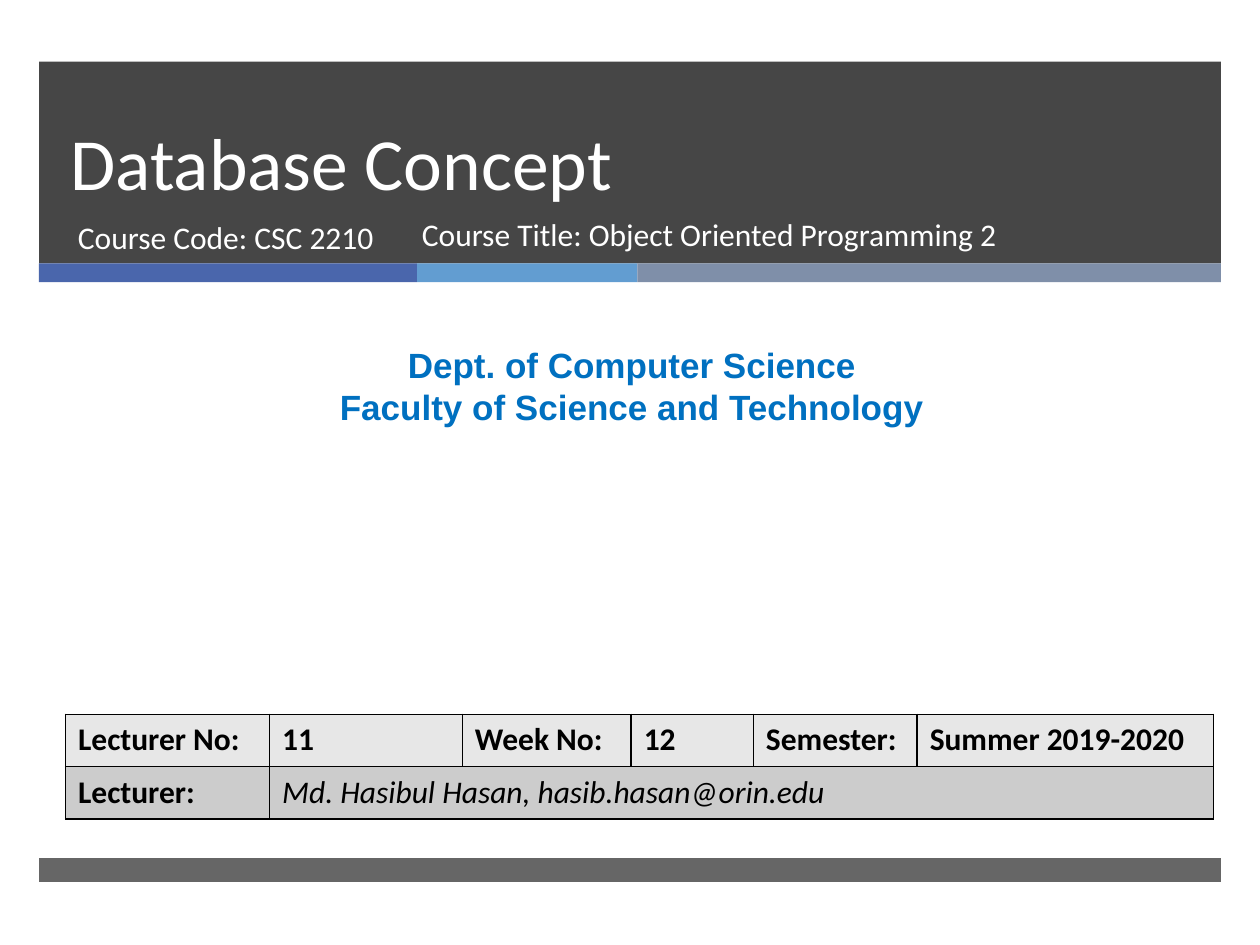
import dataclasses

import pptx
import pptx.dml.color
import pptx.enum.shapes
import pptx.enum.text
import pptx.oxml
import pptx.oxml.ns
import pptx.util

Inches = pptx.util.Inches
Pt = pptx.util.Pt
ALIGN = pptx.enum.text.PP_ALIGN
ANCHOR = pptx.enum.text.MSO_ANCHOR
NS = pptx.oxml.ns.nsdecls("a")


@dataclasses.dataclass(frozen=True)
class Theme:
    """Colours, fonts and type sizes of the slide."""
    dark: str = "262626"
    white: str = "FFFFFF"
    black: str = "000000"
    dept: str = "0070C0"
    bands: tuple = ("4A66AC", "629DD1", "7F8FA9")
    rows: tuple = ("E7E7E7", "CCCCCC")
    body: str = "Calibri"
    sans: str = "Arial"
    title: int = 42
    head: int = 20
    text: int = 18


THEME = Theme()


def rgb(code):
    """Turn a hex code into a colour."""
    return pptx.dml.color.RGBColor.from_string(code)


def add_bar(slide, box, color, alpha=None):
    """Add a plain rectangle, with opacity in percent if given."""
    bar = slide.shapes.add_shape(
        pptx.enum.shapes.MSO_SHAPE.RECTANGLE, *map(Inches, box))
    bar.shadow.inherit = False
    bar.line.fill.background()
    bar.fill.solid()
    bar.fill.fore_color.rgb = rgb(color)
    if alpha:
        node = bar.fill._xPr.find(".//" + pptx.oxml.ns.qn("a:srgbClr"))
        node.append(pptx.oxml.parse_xml(
            f'<a:alpha {NS} val="{alpha * 1000}"/>'))


def add_run(para, text, size, color, face=THEME.body, bold=False, slant=False):
    """Add one styled run to a paragraph."""
    run = para.add_run()
    run.text = text
    font = run.font
    font.name, font.size, font.color.rgb = face, Pt(size), rgb(color)
    font.bold, font.italic = bold, slant


def add_text(slide, box, lines, size, color, align=ALIGN.LEFT,
             anchor=ANCHOR.TOP, pitch=None, **style):
    """Add a wrapped text box with one paragraph per line."""
    frame = slide.shapes.add_textbox(*map(Inches, box)).text_frame
    frame.word_wrap = True
    frame.vertical_anchor = anchor
    for num, line in enumerate(lines):
        para = frame.add_paragraph() if num else frame.paragraphs[0]
        para.alignment = align
        if pitch:
            para.line_spacing = Pt(pitch)
        add_run(para, line, size, color, **style)


def set_edges(cell):
    """Draw a thin border on all four sides of a cell."""
    props = cell._tc.get_or_add_tcPr()
    for num, side in enumerate(("lnL", "lnR", "lnT", "lnB")):
        props.insert(num, pptx.oxml.parse_xml(
            f'<a:{side} {NS} w="12700"><a:solidFill>'
            f'<a:srgbClr val="{THEME.black}"/></a:solidFill></a:{side}>'))


def add_grid(slide, left, top, cols, high, rows):
    """Add the lecture table; a short row's last cell spans the rest."""
    grid = slide.shapes.add_table(
        len(rows), len(cols), Inches(left), Inches(top),
        Inches(sum(cols)), Inches(high * len(rows))).table
    for col, wide in zip(grid.columns, cols):
        col.width = Inches(wide)
    for num, (row, fill) in enumerate(zip(rows, THEME.rows)):
        grid.rows[num].height = Inches(high)
        for cell in grid.rows[num].cells:
            cell.fill.solid()
            cell.fill.fore_color.rgb = rgb(fill)
            set_edges(cell)
        last = len(row) - 1
        if len(row) < len(cols):
            grid.cell(num, last).merge(grid.cell(num, len(cols) - 1))
        for pos, text in enumerate(row):
            slant = num == 1 and pos == last
            add_run(grid.cell(num, pos).text_frame.paragraphs[0], text,
                    THEME.text, THEME.black, bold=not slant, slant=slant)


def main():
    """Build and save the slide."""
    deck = pptx.Presentation()
    deck.slide_width, deck.slide_height = Inches(10), Inches(7.5)
    slide = deck.slides.add_slide(deck.slide_layouts[6])

    left, wide = 0.31, 9.38
    add_bar(slide, (left, 0.49, wide, 1.6), THEME.dark, 85)
    edge = left
    for color, span in zip(THEME.bands, (3, 1.75, 4.63)):
        add_bar(slide, (edge, 2.09, span, 0.15), color)
        edge += span
    add_bar(slide, (left, 6.81, wide, 0.19), THEME.dark, 70)

    add_text(slide, (0.46, 0.49, 8.54, 1.19), ["Database Concept"],
             THEME.title, THEME.white, anchor=ANCHOR.BOTTOM, pitch=46)
    add_text(slide, (0.52, 1.68, 3.05, 0.53), ["Course Code: CSC 2210"],
             THEME.text, THEME.white)
    add_text(slide, (3.25, 1.66, 5.11, 0.53),
             ["Course Title: Object Oriented Programming 2"],
             THEME.text, THEME.white)
    add_text(slide, (0.08, 2.68, 9.87, 0.77),
             ["Dept. of Computer Science",
              "Faculty of Science and Technology"],
             THEME.head, THEME.dept, align=ALIGN.CENTER,
             face=THEME.sans, bold=True)
    add_grid(slide, 0.52, 5.67, (1.62, 1.53, 1.34, 0.97, 1.3, 2.35), 0.415, [
        ("Lecturer No:", "11", "Week No:", "12", "Semester:",
         "Summer 2019-2020"),
        ("Lecturer:", "Md. Hasibul Hasan, hasib.hasan@orin.edu")])
    deck.save("out.pptx")


main()
